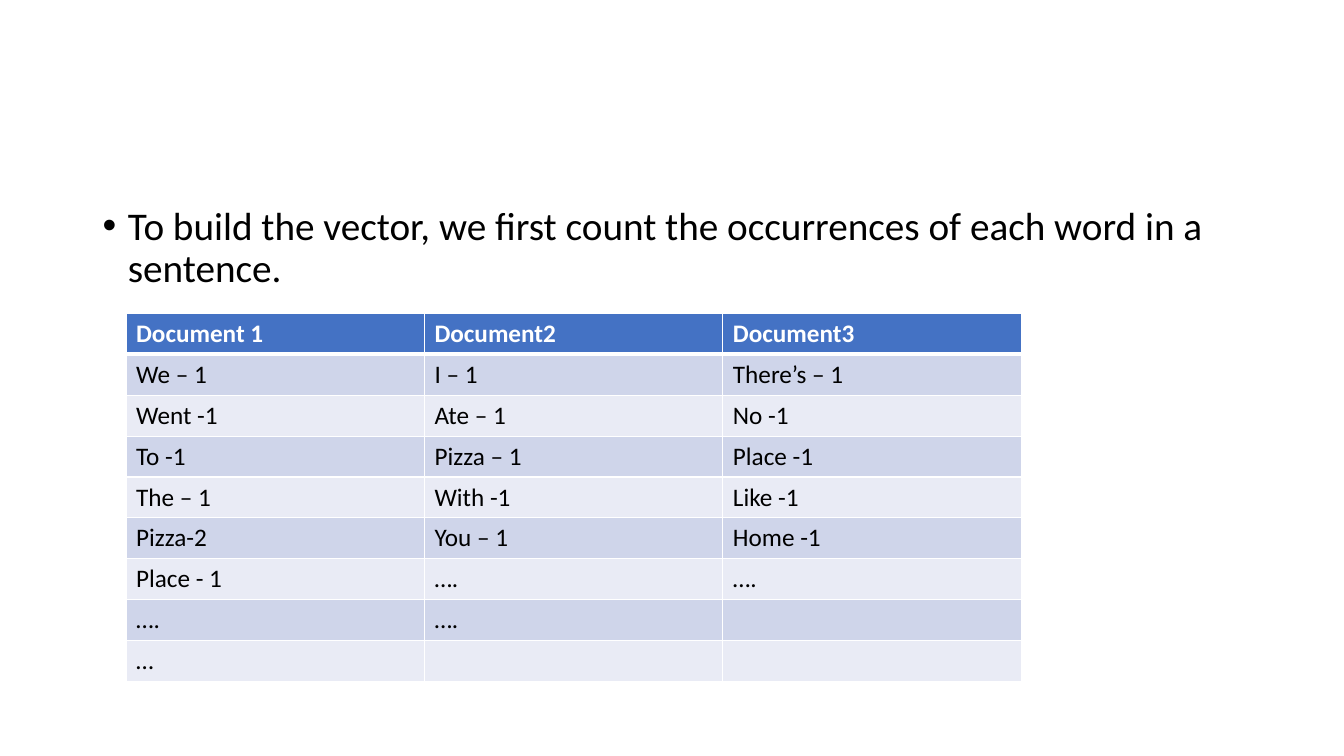
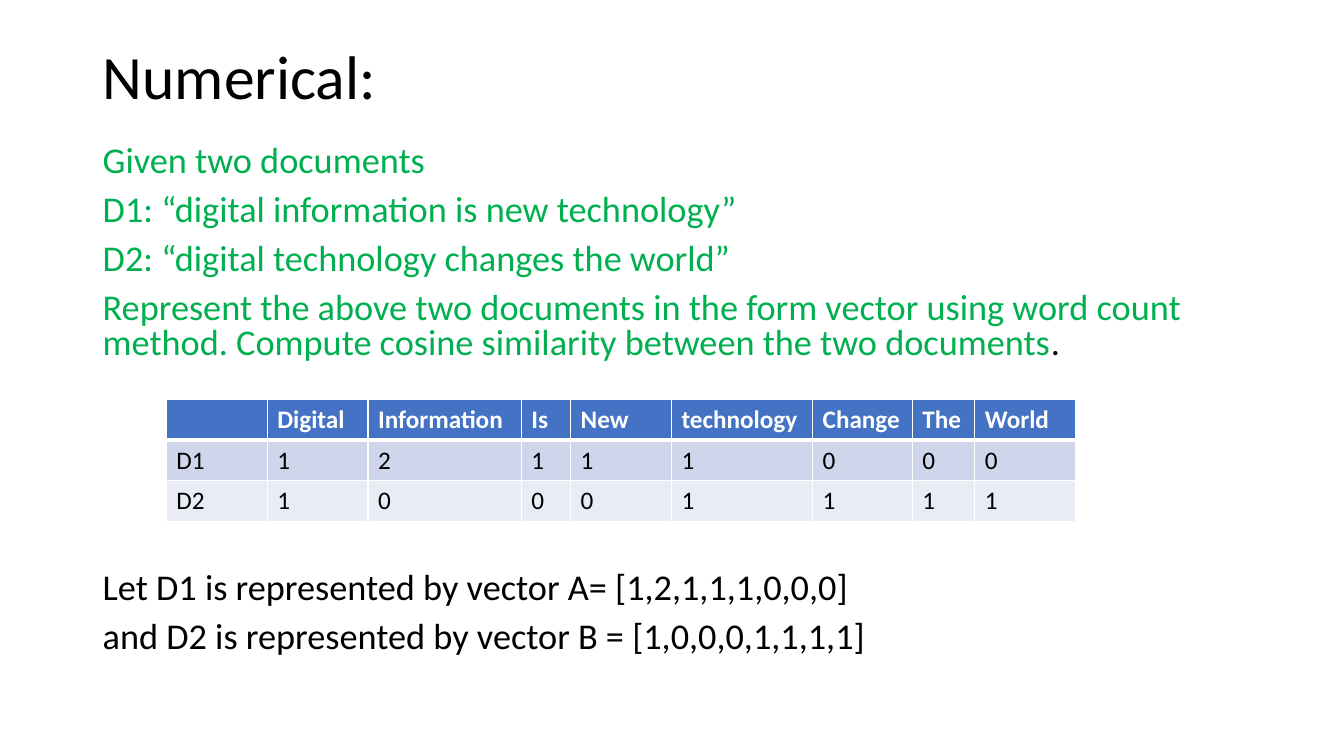
from lxml import etree
from pptx import Presentation
from pptx import util as u
from pptx.dml.color import RGBColor
from pptx.enum import text
from pptx.oxml.ns import qn

FONT = "Calibri"
COLORS = {
    "ink": "000000",
    "paper": "FFFFFF",
    "question": "00B050",
    "header": "4472C4",
    "odd": "CFD5EA",
    "even": "E9EBF5",
}
WIDTH, HEIGHT = u.Inches(13.33), u.Inches(7.5)
MARGIN = u.Inches(0.92)
CONTENT_WIDTH = WIDTH - 2 * MARGIN
TABLE_ROW = u.Inches(3.65 / 9)

prs = Presentation()
prs.slide_width, prs.slide_height = WIDTH, HEIGHT
TITLE_ONLY, BLANK = prs.slide_layouts[5], prs.slide_layouts[6]


def add_body(slide, top, height, lines, size, spacing, color):
    """Add a text box with one paragraph per line and return its paragraphs."""
    frame = slide.shapes.add_textbox(MARGIN, top, CONTENT_WIDTH, height).text_frame
    frame.word_wrap = True
    frame.text = "\n".join(lines)
    for index, paragraph in enumerate(frame.paragraphs):
        paragraph.line_spacing = spacing
        paragraph.space_before = u.Pt(10 if index else 0)
        for run in paragraph.runs:
            run.font.name, run.font.size = FONT, u.Pt(size)
            run.font.color.rgb = RGBColor.from_string(COLORS[color])
    return frame.paragraphs


def add_grid(slide, left, top, widths, rows):
    """Add a banded table with a header row and white rules."""
    table = slide.shapes.add_table(
        len(rows), len(widths), left, top, u.Inches(sum(widths)), TABLE_ROW * len(rows)
    ).table
    for column, width in zip(table.columns, widths):
        column.width = u.Inches(width)
    for r, row in enumerate(rows):
        table.rows[r].height = TABLE_ROW
        band = "header" if r == 0 else "odd" if r % 2 else "even"
        for c, value in enumerate(row):
            cell = table.cell(r, c)
            properties = cell._tc.get_or_add_tcPr()
            for side in "LRTB":
                thick = (r == 0 and side == "B") or (r == 1 and side == "T")
                rule = etree.SubElement(
                    properties, qn("a:ln" + side), w=str(u.Pt(3 if thick else 1))
                )
                fill = etree.SubElement(rule, qn("a:solidFill"))
                etree.SubElement(fill, qn("a:srgbClr"), val=COLORS["paper"])
            cell.fill.solid()
            cell.fill.fore_color.rgb = RGBColor.from_string(COLORS[band])
            cell.text = value
            font = cell.text_frame.paragraphs[0].font
            font.name, font.size, font.bold = FONT, u.Pt(18), r == 0
            font.color.rgb = RGBColor.from_string(COLORS["ink" if r else "paper"])
            for run in cell.text_frame.paragraphs[0].runs:
                run.font.name, run.font.size, run.font.bold = FONT, u.Pt(18), r == 0
                run.font.color.rgb = font.color.rgb


# Word counts per document
counts_slide = prs.slides.add_slide(BLANK)
intro = add_body(
    counts_slide, u.Inches(2), u.Inches(1),
    ["To build the vector, we first count the occurrences of each word in a sentence."],
    28, 0.9, "ink",
)[0]
intro_format = intro._p.get_or_add_pPr()
intro_format.set("marL", str(u.Inches(0.25)))
intro_format.set("indent", str(-u.Inches(0.25)))
etree.SubElement(intro_format, qn("a:buFont"), typeface="Arial")
etree.SubElement(intro_format, qn("a:buChar"), char="•")

word_counts = [
    ["Document 1", "Document2", "Document3"],
    ["We – 1", "I – 1", "There’s – 1"],
    ["Went -1", "Ate – 1", "No -1"],
    ["To -1", "Pizza – 1", "Place -1"],
    ["The – 1", "With -1", "Like -1"],
    ["Pizza-2", "You – 1", "Home -1"],
    ["Place - 1", "….", "…."],
    ["….", "….", ""],
    ["…", "", ""],
]
add_grid(counts_slide, u.Inches(1.25), u.Inches(3.11), [2.96] * 3, word_counts)

# Worked example
example_slide = prs.slides.add_slide(TITLE_ONLY)
title = example_slide.shapes.title
title.left, title.top = MARGIN, u.Inches(0.4)
title.width, title.height = CONTENT_WIDTH, u.Inches(0.77)
title.text_frame.text = "Numerical:"
title.text_frame.auto_size = text.MSO_AUTO_SIZE.NONE
title.text_frame.vertical_anchor = text.MSO_ANCHOR.MIDDLE
heading = title.text_frame.paragraphs[0]
heading.alignment, heading.line_spacing = text.PP_ALIGN.LEFT, 0.9
heading_font = heading.runs[0].font
heading_font.name, heading_font.size = FONT, u.Pt(44)
heading_font.color.rgb = RGBColor.from_string(COLORS["ink"])

question = add_body(
    example_slide, u.Inches(1.4), u.Inches(2.4),
    [
        "Given two documents",
        "D1: “digital information is new technology”",
        "D2: “digital technology changes the world”",
        "Represent the above two documents in the form vector using word count method. "
        "Compute cosine similarity between the two documents",
    ],
    25.9, 0.8, "question",
)
full_stop = question[-1].add_run()
full_stop.text = "."
full_stop.font.name, full_stop.font.size = FONT, u.Pt(25.9)
full_stop.font.color.rgb = RGBColor.from_string(COLORS["ink"])

vectors = [
    ["", "Digital", "Information", "Is", "New", "technology", "Change", "The", "World"],
    ["D1", *"12111000"],
    ["D2", *"10001111"],
]
add_grid(
    example_slide, u.Inches(1.65), u.Inches(3.96),
    [1, 1, 1.52, 0.49, 1, 1.4, 0.99, 0.62, 1], vectors,
)
add_body(
    example_slide, u.Inches(5.63), u.Inches(1.1),
    [
        "Let D1 is represented by vector A= [1,2,1,1,1,0,0,0]",
        "and D2 is represented by vector B = [1,0,0,0,1,1,1,1]",
    ],
    25.9, 0.8, "ink",
)

prs.save("out.pptx")
